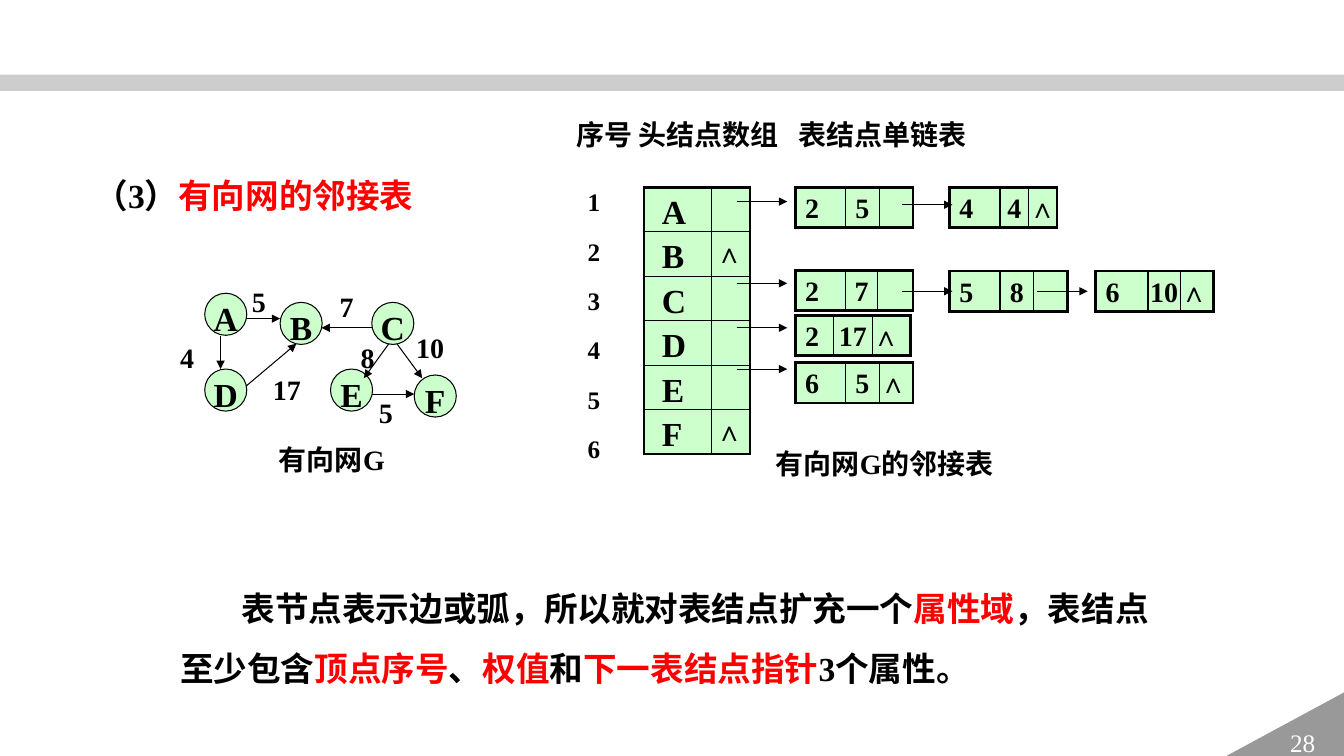
from lxml.etree import SubElement
from pptx import Presentation
from pptx.dml.color import RGBColor
from pptx.enum.shapes import MSO_CONNECTOR, MSO_SHAPE
from pptx.enum.text import MSO_ANCHOR, MSO_AUTO_SIZE, PP_ALIGN
from pptx.oxml.ns import qn
from pptx.util import Cm, Pt

BLACK = RGBColor(0x00, 0x00, 0x00)
WHITE = RGBColor(0xFF, 0xFF, 0xFF)
RED = RGBColor(0xFF, 0x00, 0x00)
GREEN = RGBColor(0xCC, 0xFF, 0xCC)
BAR_GRAY = RGBColor(0xCD, 0xCD, 0xCD)
CORNER_GRAY = RGBColor(0x99, 0x99, 0x99)
FONT = "Times New Roman"

VERTEX_SIZE = 1.06
VERTICES = {"A": (5.16, 7.39), "B": (7.06, 7.62), "C": (9.37, 7.62),
            "D": (5.16, 9.3), "E": (8.33, 9.3), "F": (10.44, 9.45)}
EDGES = [(5.56, 8.46, 5.56, 9.3), (9.8, 8.66, 9.17, 9.53),
         (10, 8.66, 10.64, 9.53), (9.37, 9.93, 10.44, 9.93),
         (6.2, 8.03, 7.06, 8.03), (6.2, 9.73, 7.47, 8.66),
         (9.37, 8.26, 8.1, 8.26)]
WEIGHTS = [("5", 6.1, 6.88), ("4", 4.29, 8.28), ("17", 6.63, 9.09),
           ("7", 8.31, 6.99), ("10", 10.24, 8.03), ("8", 8.84, 8.28),
           ("5", 9.3, 9.68)]

HEADS = [["A", ""], ["B", "∧"], ["C", ""], ["D", ""], ["E", ""], ["F", "∧"]]
NODES = [(20.04, 4.72, (1.27, 0.85, 0.85), ["2", "5", ""]),
         (23.93, 4.72, (1.27, 0.72, 0.72), ["4", "4", "∧"]),
         (20.04, 6.81, (1.27, 0.81, 0.89), ["2", "7", ""]),
         (23.93, 6.83, (1.27, 0.85, 0.85), ["5", "8", ""]),
         (27.61, 6.83, (1.32, 0.81, 0.85), ["6", "10", "∧"]),
         (20.04, 7.95, (0.97, 0.97, 0.97), ["2", "17", "∧"]),
         (20.04, 9.14, (1.27, 0.85, 0.85), ["6", "5", "∧"])]
POINTER_LENGTH = 1.27
POINTERS = [(18.57, 5.08), (18.57, 7.14), (18.57, 8.26), (18.57, 9.3),
            (22.73, 5.16), (22.73, 7.34), (26.14, 7.34)]


def write(frame, text, size=20, color=BLACK, bold=True, align=PP_ALIGN.LEFT,
          line=1.2, gap=0.26, indent=0, tab=0):
    """Fill a text frame; each line is a paragraph, text between * is red."""
    for number, content in enumerate(text.split("\n")):
        paragraph = frame.paragraphs[0] if number == 0 else frame.add_paragraph()
        paragraph.alignment = align
        paragraph.line_spacing = line
        paragraph.space_before = paragraph.space_after = Pt(round(size * gap, 1))
        properties = paragraph._p.get_or_add_pPr()
        if indent:
            properties.set("indent", str(Cm(indent)))
        if tab:
            stops = SubElement(properties, qn("a:tabLst"))
            SubElement(stops, qn("a:tab"), pos=str(Cm(tab)), algn="l")
        for part, piece in enumerate(content.split("*")):
            if piece:
                run = paragraph.add_run()
                run.text = piece
                run.font.name = FONT
                run.font.size = Pt(size)
                run.font.bold = bold
                run.font.color.rgb = RED if part % 2 else color


def add_text(slide, text, left, top, width, height, wrap=True, **text_format):
    box = slide.shapes.add_textbox(Cm(left), Cm(top), Cm(width), Cm(height))
    box.text_frame.word_wrap = wrap
    box.text_frame.auto_size = MSO_AUTO_SIZE.SHAPE_TO_FIT_TEXT
    write(box.text_frame, text, **text_format)


def add_filled_shape(slide, kind, left, top, width, height, fill, outlined=False):
    shape = slide.shapes.add_shape(kind, Cm(left), Cm(top), Cm(width), Cm(height))
    shape.shadow.inherit = False
    shape.fill.solid()
    shape.fill.fore_color.rgb = fill
    if outlined:
        shape.line.color.rgb = BLACK
        shape.line.width = Pt(0.75)
    else:
        shape.line.fill.background()
    shape.text_frame.vertical_anchor = MSO_ANCHOR.MIDDLE
    return shape


def add_vertex(slide, name, left, top):
    vertex = add_filled_shape(slide, MSO_SHAPE.OVAL, left, top,
                              VERTEX_SIZE, VERTEX_SIZE, GREEN, outlined=True)
    vertex.text_frame.word_wrap = False
    write(vertex.text_frame, name, size=24, align=PP_ALIGN.CENTER)


def add_arrow(slide, *ends):
    arrow = slide.shapes.add_connector(MSO_CONNECTOR.STRAIGHT, *map(Cm, ends))
    arrow.line.color.rgb = BLACK
    arrow.line.width = Pt(0.75)
    properties = arrow._element.spPr
    SubElement(properties.find(qn("a:ln")), qn("a:tailEnd"), type="triangle")
    SubElement(properties, qn("a:effectLst"))


def set_borders(cell, outer_sides):
    """Draw thick lines on outer sides and thin lines on inner ones."""
    properties = cell._tc.get_or_add_tcPr()
    for side in "LRTB":
        width = Pt(2.25 if side in outer_sides else 1)
        border = SubElement(properties, qn(f"a:ln{side}"), w=str(width))
        fill = SubElement(border, qn("a:solidFill"))
        SubElement(fill, qn("a:srgbClr"), val=str(BLACK))


def add_grid(slide, left, top, widths, row_height, rows, formats, line=1.2):
    """Add a table; formats gives each column's size, align, margin and anchor."""
    last_row, last_column = len(rows) - 1, len(widths) - 1
    table = slide.shapes.add_table(
        len(rows), len(widths), Cm(left), Cm(top),
        Cm(sum(widths)), Cm(row_height * len(rows))).table
    table.first_row = table.horz_banding = False
    for column, width in zip(table.columns, widths):
        column.width = Cm(width)
    for row, values in enumerate(rows):
        table.rows[row].height = Cm(row_height)
        for column, value in enumerate(values):
            cell = table.cell(row, column)
            size, align, margin, anchor = formats[column]
            outer = [side for side, is_outer in zip("LRTB", (
                column == 0, column == last_column,
                row == 0, row == last_row)) if is_outer]
            set_borders(cell, outer)
            cell.fill.solid()
            cell.fill.fore_color.rgb = GREEN
            cell.margin_left = cell.margin_right = Cm(margin)
            cell.margin_top = cell.margin_bottom = 0
            cell.vertical_anchor = anchor
            write(cell.text_frame, value, size=size, align=align, line=line, gap=0)


def add_frame(slide):
    """Add the top bar and the page corner."""
    add_filled_shape(slide, MSO_SHAPE.RECTANGLE, 0, 1.88, 33.87, 0.41, BAR_GRAY)
    corner = add_filled_shape(slide, MSO_SHAPE.RIGHT_TRIANGLE,
                              30.76, 17.45, 3.11, 1.68, CORNER_GRAY)
    corner._element.spPr.find(qn("a:xfrm")).set("flipH", "1")
    write(corner.text_frame, "28", size=18, color=WHITE, bold=False,
          align=PP_ALIGN.CENTER, line=1.0, gap=0)


def add_graph(slide):
    for name, (left, top) in VERTICES.items():
        add_vertex(slide, name, left, top)
    for ends in EDGES:
        add_arrow(slide, *ends)
    for weight, left, top in WEIGHTS:
        add_text(slide, weight, left, top, 0.86 if len(weight) == 1 else 1.22,
                 1.19, wrap=False)
    add_text(slide, "有向网G", 6.78, 10.85, 3.2, 1.19)


def add_adjacency_list(slide):
    left, center = PP_ALIGN.LEFT, PP_ALIGN.CENTER
    top, middle, bottom = MSO_ANCHOR.TOP, MSO_ANCHOR.MIDDLE, MSO_ANCHOR.BOTTOM
    add_text(slide, "序号 头结点数组\t表结点单链表", 14.27, 2.67, 10.49, 1.27,
             wrap=False, tab=5.6)
    add_text(slide, "\n".join(map(str, range(1, 7))), 14.56, 4.42, 1.8, 7.8, size=18)
    # Single line spacing keeps the rows at their set height
    add_grid(slide, 16.23, 4.72, (1.7, 0.97), 1.12, HEADS,
             [(24, left, 0.45, bottom), (20, left, 0.1, middle)], line=1.0)
    for x, y, widths, values in NODES:
        add_grid(slide, x, y, widths, 0.94, [values],
                 [(20, left, 0.25, top), (20, center, 0, top), (20, left, 0, top)])
    for x, y in POINTERS:
        add_arrow(slide, x, y, x + POINTER_LENGTH, y)
    add_text(slide, "有向网G的邻接表", 19.3, 10.95, 6.05, 1.19)


def main():
    presentation = Presentation()
    presentation.slide_width, presentation.slide_height = Cm(33.87), Cm(19.05)
    slide = presentation.slides.add_slide(presentation.slide_layouts[6])

    add_frame(slide)
    add_graph(slide)
    add_adjacency_list(slide)

    # Heading and explanation
    add_text(slide, "（3）*有向网的邻接表*", 2.13, 4.09, 11.18, 1.37, size=24)
    add_text(slide, "表节点表示边或弧，所以就对表结点扩充一个*属性域*，表结点至少包含"
             "*顶点序号*、*权值*和*下一表结点指针*3个属性。",
             4.29, 14.17, 24.97, 3.33, size=24, line=1.5, gap=0, indent=1.55)
    presentation.save("out.pptx")


if __name__ == "__main__":
    main()
